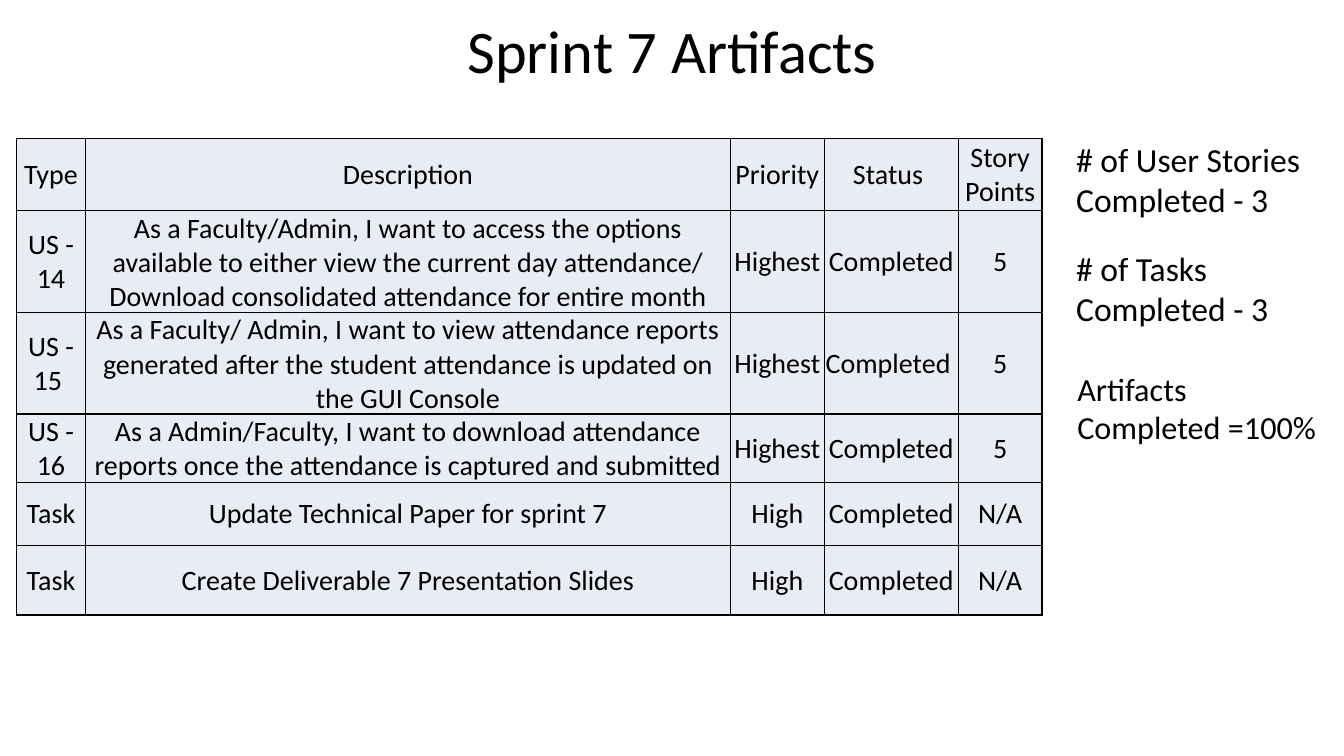
from lxml import etree
from pptx import Presentation
from pptx.dml.color import RGBColor
from pptx.enum.text import MSO_ANCHOR, MSO_AUTO_SIZE, PP_ALIGN
from pptx.oxml.ns import qn
from pptx.util import Cm, Pt

BLACK = RGBColor(0, 0, 0)
PALE = RGBColor(0xE9, 0xEB, 0xF5)
FONT = "Calibri"
LEFT, CENTER = PP_ALIGN.LEFT, PP_ALIGN.CENTER
MIDDLE, BOTTOM = MSO_ANCHOR.MIDDLE, MSO_ANCHOR.BOTTOM
GROW = MSO_AUTO_SIZE.SHAPE_TO_FIT_TEXT

COLS = [1.73, 16.26, 2.36, 3.38, 2.11]
ROWS = [1.83, 2.54, 1.91, 1.6, 1.6, 1.75]
ITEMS = [
    ("Type", "Description", "Priority", "Status ", "Story Points"),
    ("US - 14", "As a Faculty/Admin, I want to access the options available to "
     "either view the current day attendance/ Download consolidated attendance "
     "for entire month", "Highest", "Completed", "5"),
    ("US - 15 ", "As a Faculty/ Admin, I want to view attendance reports generated "
     "after the student attendance is updated on the GUI Console",
     "Highest", "Completed ", "5"),
    ("US - 16", "As a Admin/Faculty, I want to download attendance reports once "
     "the attendance is captured and submitted", "Highest", "Completed", "5"),
    ("Task", "Update Technical Paper for sprint 7", "High", "Completed", "N/A"),
    ("Task", "Create Deliverable 7 Presentation Slides", "High", "Completed", "N/A"),
]
NOTES = [
    ("# of User Stories Completed - 3", 26.87, 3.38, 7.62, 2.31, 24),
    ("# of Tasks Completed - 3", 26.87, 6.12, 6.78, 2.31, 24),
    ("Artifacts Completed =100%", 26.9, 9.17, 6.55, 2.24, 23),
]


def write(frame, text, size, align):
    """Put one run of text in the first paragraph of a frame."""
    para = frame.paragraphs[0]
    para.alignment = align
    run = para.add_run()
    run.text = text
    run.font.name = FONT
    run.font.size = Pt(size)
    run.font.color.rgb = BLACK
    return para


def add_text(slide, text, left, top, width, height, size, align=LEFT):
    """Add a wrapping text box and return its frame."""
    box = slide.shapes.add_textbox(Cm(left), Cm(top), Cm(width), Cm(height))
    frame = box.text_frame
    frame.word_wrap = True
    write(frame, text, size, align)
    return frame


def add_title(slide, text):
    """Add the centred slide title."""
    frame = add_text(slide, text, -2.11, 0.25, 38.1, 2.06, 43.2, CENTER)
    frame.vertical_anchor = BOTTOM
    frame.paragraphs[0].line_spacing = 0.9


def add_note(slide, *note):
    """Add a side note that grows with its text."""
    add_text(slide, *note).auto_size = GROW


def set_edge(cell):
    """Draw a thin black line on all four sides of a cell."""
    props = cell._tc.get_or_add_tcPr()
    for spot, side in enumerate(("a:lnL", "a:lnR", "a:lnT", "a:lnB")):
        line = etree.Element(qn(side), w=str(Pt(1)))
        fill = etree.SubElement(line, qn("a:solidFill"))
        etree.SubElement(fill, qn("a:srgbClr"), val=str(BLACK))
        props.insert(spot, line)


def fill_cell(cell, text):
    """Style one table cell and write its text."""
    cell.margin_left = cell.margin_right = cell.margin_top = Cm(0.02)
    cell.margin_bottom = 0
    cell.vertical_anchor = MIDDLE
    cell.fill.solid()
    cell.fill.fore_color.rgb = PALE
    set_edge(cell)
    write(cell.text_frame, text, 20, CENTER)


def add_grid(slide):
    """Add the table of sprint items."""
    table = slide.shapes.add_table(
        len(ROWS), len(COLS), Cm(0.42), Cm(3.48), Cm(sum(COLS)), Cm(sum(ROWS))
    ).table
    table.first_row = table.horz_banding = False
    for col, width in zip(table.columns, COLS):
        col.width = Cm(width)
    for row, height, item in zip(table.rows, ROWS, ITEMS):
        row.height = Cm(height)
        for cell, text in zip(row.cells, item):
            fill_cell(cell, text)


def main():
    """Build the slide and save it."""
    deck = Presentation()
    deck.slide_width, deck.slide_height = Cm(33.87), Cm(19.05)
    slide = deck.slides.add_slide(deck.slide_layouts[6])
    add_title(slide, "Sprint 7 Artifacts")
    add_grid(slide)
    for note in NOTES:
        add_note(slide, *note)
    deck.save("out.pptx")


if __name__ == "__main__":
    main()
